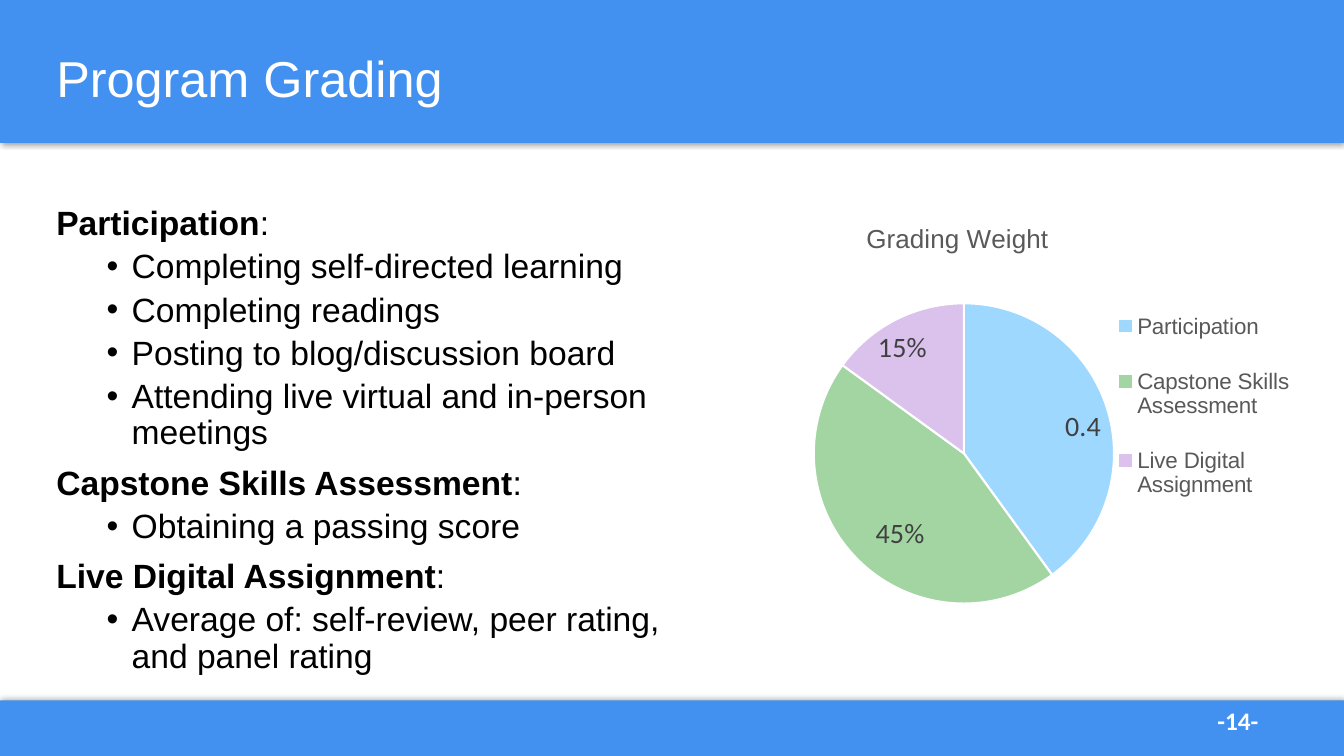
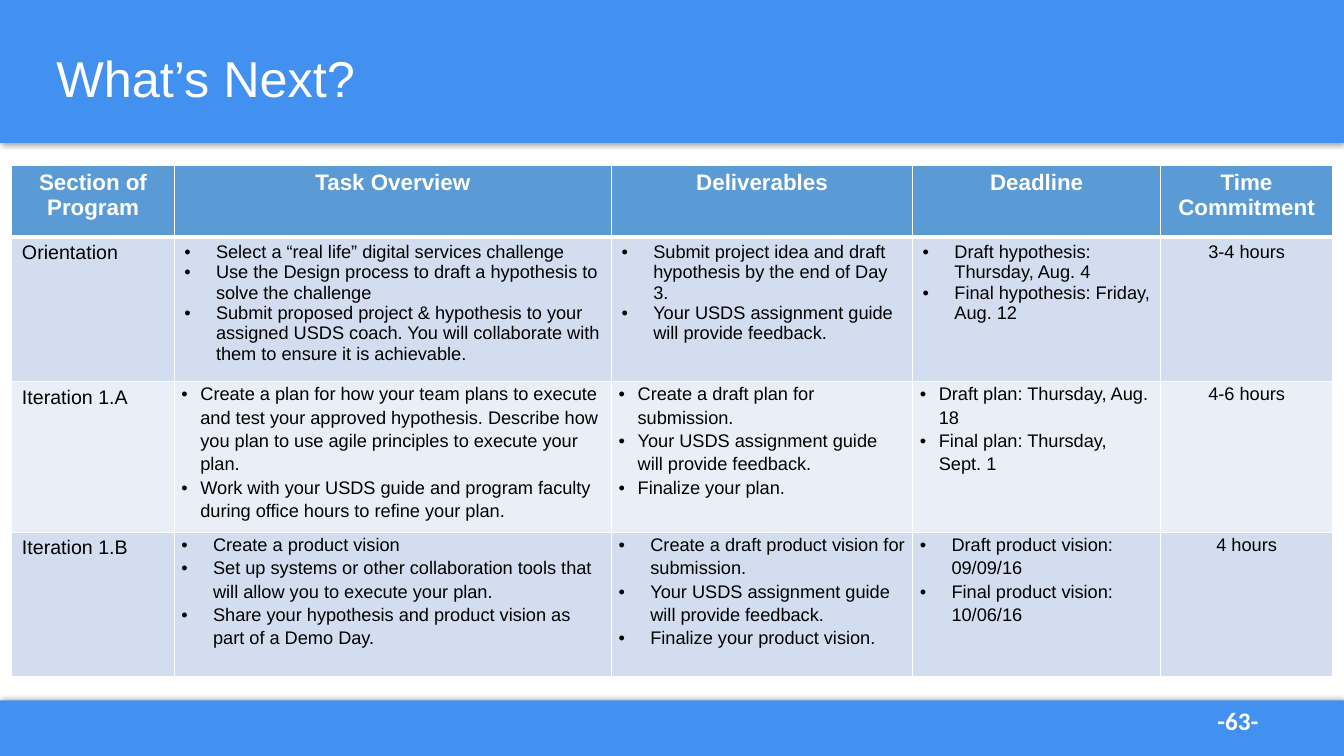
from lxml import etree
from pptx import Presentation
from pptx.chart.data import CategoryChartData
from pptx.dml.color import RGBColor
from pptx.enum.chart import XL_CHART_TYPE, XL_LABEL_POSITION, XL_LEGEND_POSITION
from pptx.enum.shapes import MSO_SHAPE
from pptx.enum.text import MSO_ANCHOR, PP_ALIGN
from pptx.oxml import parse_xml
from pptx.oxml.ns import nsdecls, qn
from pptx.util import Cm, Pt

PIE = XL_CHART_TYPE.PIE
INSIDE_END = XL_LABEL_POSITION.INSIDE_END
LEGEND_RIGHT = XL_LEGEND_POSITION.RIGHT
RECT = MSO_SHAPE.RECTANGLE
MIDDLE = MSO_ANCHOR.MIDDLE
CENTER = PP_ALIGN.CENTER

COLORS = {
    "band": "4291F0",
    "white": "FFFFFF",
    "black": "000000",
    "chart_text": "595959",
    "label": "404040",
    "header": "5B9BD5",
    "row_dark": "D2DEEF",
    "row_light": "EAEFF7",
    "participation": "9FD8FF",
    "capstone": "A3D5A3",
    "digital": "DAC2EC",
}
RGB = {name: RGBColor.from_string(value) for name, value in COLORS.items()}
WIDTH, HEIGHT = Cm(33.87), Cm(19.05)
LEFT = Cm(1.17)


def write(tf, text, size=24, color="black", bold=False, font="Arial", align=None,
          spacing=None, before=None, indent=None, tail=""):
    """Add a paragraph; indent gives (text, bullet offset), tail is a regular-weight ending."""
    first = not tf.text
    p = tf.paragraphs[0] if first else tf.add_paragraph()
    if indent:
        pPr = p._p.get_or_add_pPr()
        margin, hanging = indent
        pPr.set("marL", str(Cm(margin)))
        pPr.set("indent", str(-Cm(hanging)))
        etree.SubElement(pPr, qn("a:buFont")).set("typeface", "Arial")
        etree.SubElement(pPr, qn("a:buChar")).set("char", "•")
    if align is not None:
        p.alignment = align
    if spacing:
        p.line_spacing = spacing
    if before and not first:
        p.space_before = Pt(before)
    for part, weight in ((text, bold), (tail, False)):
        if part:
            r = p.add_run()
            r.text = part
            r.font.name, r.font.size, r.font.bold = font, Pt(size), weight
            r.font.color.rgb = RGB[color]
    # The paragraph mark sets the bullet height, so it follows the text size
    etree.SubElement(p._p, qn("a:endParaRPr")).set("sz", str(round(size * 100)))


def add_slide(title, number):
    """Add a slide with both bands, its title and its page number."""
    s = prs.slides.add_slide(prs.slide_layouts[6])
    for top, height, direction in ((Cm(17.65), Cm(1.4), 270), (0, Cm(3.6), 90)):
        band = s.shapes.add_shape(RECT, 0, top, WIDTH, height)
        band.fill.solid()
        band.fill.fore_color.rgb = RGB["band"]
        band.line.fill.background()
        band.shadow.inherit = False
        band._element.spPr.find(qn("a:effectLst")).append(parse_xml(
            f'<a:outerShdw {nsdecls("a")} blurRad="{Pt(4)}" dist="{Pt(1)}" '
            f'dir="{direction * 60000}" algn="ctr" rotWithShape="0">'
            f'<a:srgbClr val="{COLORS["black"]}"><a:alpha val="40000"/></a:srgbClr>'
            '</a:outerShdw>'))
    tf = s.shapes.add_textbox(Cm(30.43), Cm(17.65), Cm(2.49), Cm(1.02)).text_frame
    tf.word_wrap = True
    write(tf, f"-{number}-", size=18, color="white", bold=True, font="Calibri")
    tf = s.shapes.add_textbox(LEFT, Cm(0.76), Cm(31.55), Cm(2.57)).text_frame
    tf.word_wrap = True
    tf.vertical_anchor = MIDDLE
    write(tf, title, size=36, color="white", spacing=0.9)
    return s


prs = Presentation()
prs.slide_width, prs.slide_height = WIDTH, HEIGHT

# Program grading: pie chart and criteria
s = add_slide("Program Grading", 14)

weights = {"Participation": 0.4, "Capstone Skills Assessment": 0.45,
           "Live Digital Assignment": 0.15}
data = CategoryChartData()
data.categories = list(weights)
data.add_series("Series 1", list(weights.values()))
chart = s.shapes.add_chart(PIE, Cm(15.52), Cm(5.08), Cm(17.2), Cm(12.09), data).chart
chart.font.name, chart.font.size = "Calibri", Pt(10)

chart.has_title = True
write(chart.chart_title.text_frame, "Grading Weight", size=18.6, color="chart_text")
chart.chart_title.include_in_layout = False

chart.has_legend = True
legend = chart.legend
legend.position = LEGEND_RIGHT
legend.include_in_layout = False
legend.font.name, legend.font.size = "Arial", Pt(16)
legend.font.color.rgb = RGB["chart_text"]

plot = chart.plots[0]
plot.vary_by_categories = True
series = plot.series[0]
labels = series.data_labels
labels.show_value = True
labels.number_format, labels.number_format_is_linked = "General", False
labels.position = INSIDE_END
labels.font.name, labels.font.size = "Calibri", Pt(20)
labels.font.color.rgb = RGB["label"]

slices = zip(weights.values(), ("participation", "capstone", "digital"))
for i, (weight, color) in enumerate(slices):
    point = series.points[i]
    point.format.fill.solid()
    point.format.fill.fore_color.rgb = RGB[color]
    point.format.line.color.rgb = RGB["white"]
    point.format.line.width = Pt(1.5)
    if i:
        label = point.data_label
        write(label.text_frame, f"{weight:.0%}", size=20, color="label", font="Calibri")
        label.position = INSIDE_END

# Each chart part: element, index of its layout child, layout fractions.
# Data labels are moved from their usual place, other parts are placed in the chart.
plot_area = chart._chartSpace.find(".//" + qn("c:plotArea"))
capstone_label, digital_label = plot_area.findall(".//" + qn("c:dLbl"))
for part, index, fractions in (
    (chart.chart_title._element, 1, {"x": 0.36, "y": 0.03}),
    (legend._element, 1, {"x": 0.73, "y": 0.17, "w": 0.27, "h": 0.51}),
    (plot_area, 0, {"x": 0.29, "y": 0.21, "w": 0.44, "h": 0.63}),
    (capstone_label, 1, {"x": 0.02, "y": -0.01}),
    (digital_label, 1, {"x": -0.03, "y": 0.01}),
):
    for old in part.findall(qn("c:layout")):
        part.remove(old)
    target = '<c:layoutTarget val="inner"/>' if part is plot_area else ""
    is_label = part in (capstone_label, digital_label)
    modes = "" if is_label else '<c:xMode val="edge"/><c:yMode val="edge"/>'
    values = "".join(f'<c:{key} val="{value}"/>' for key, value in fractions.items())
    part.insert(index, parse_xml(
        f'<c:layout {nsdecls("c")}><c:manualLayout>{target}{modes}{values}'
        '</c:manualLayout></c:layout>'))

criteria = {
    "Participation": [
        "Completing self-directed learning",
        "Completing readings",
        "Posting to blog/discussion board",
        "Attending live virtual and in-person meetings",
    ],
    "Capstone Skills Assessment": ["Obtaining a passing score"],
    "Live Digital Assignment": ["Average of: self-review, peer rating, and panel rating"],
}
tf = s.shapes.add_textbox(LEFT, Cm(5.08), Cm(16.81), Cm(12.09)).text_frame
tf.word_wrap = True
for heading, items in criteria.items():
    write(tf, heading, bold=True, tail=":", spacing=0.9, before=10)
    for item in items:
        write(tf, item, spacing=0.9, before=5, indent=(1.9, 0.63))

# What's next: schedule table
s = add_slide("What’s Next?", 63)

headers = ["Section of Program", "Task Overview", "Deliverables", "Deadline",
           "Time Commitment"]
schedule = [
    ("Orientation",
     ["Select a “real life” digital services challenge",
      "Use the Design process to draft a hypothesis to solve the challenge",
      "Submit proposed project & hypothesis to your assigned USDS coach. "
      "You will collaborate with them to ensure it is achievable."],
     ["Submit project idea and draft hypothesis by the end of Day 3.",
      "Your USDS assignment guide will provide feedback."],
     ["Draft hypothesis: Thursday, Aug. 4", "Final hypothesis: Friday, Aug. 12"],
     "3-4 hours"),
    ("Iteration 1.A",
     ["Create a plan for how your team plans to execute and test your approved "
      "hypothesis. Describe how you plan to use agile principles to execute your plan.",
      "Work with your USDS guide and program faculty during office hours to refine "
      "your plan."],
     ["Create a draft plan for submission.",
      "Your USDS assignment guide will provide feedback.",
      "Finalize your plan."],
     ["Draft plan: Thursday, Aug. 18", "Final plan: Thursday, Sept. 1"],
     "4-6 hours"),
    ("Iteration 1.B",
     ["Create a product vision",
      "Set up systems or other collaboration tools that will allow you to execute "
      "your plan.",
      "Share your hypothesis and product vision as part of a Demo Day."],
     ["Create a draft product vision for submission.",
      "Your USDS assignment guide will provide feedback.",
      "Finalize your product vision."],
     ["Draft product vision: 09/09/16", "Final product vision: 10/06/16"],
     "4 hours"),
]
col_widths = [4.09, 11.02, 7.59, 6.25, 4.33]
row_heights = [1.8, 3.64, 3.64, 3.64]
row_fills = ["header", "row_dark", "row_light", "row_dark"]
row_indents = [None, 0.8, 0.48, 0.8]

table = s.shapes.add_table(len(row_heights), len(col_widths), Cm(0.3), Cm(4.17),
                           Cm(sum(col_widths)), Cm(sum(row_heights))).table
for column, width in zip(table.columns, col_widths):
    column.width = Cm(width)
for row, height in zip(table.rows, row_heights):
    row.height = Cm(height)

for r, contents in enumerate([headers, *schedule]):
    for c, content in enumerate(contents):
        cell = table.cell(r, c)
        cell.fill.solid()
        cell.fill.fore_color.rgb = RGB[row_fills[r]]
        tf = cell.text_frame
        spacing = 1.15 if r > 1 else None
        if r > 1 and c > 0:
            cell.margin_left = cell.margin_right = Cm(0.18)
            cell.margin_top = cell.margin_bottom = 0
        if r == 0:
            write(tf, content, size=16, color="white", bold=True, align=CENTER)
        elif c == 0:
            write(tf, content, size=14)
        elif isinstance(content, list):
            for item in content:
                write(tf, item, size=13, spacing=spacing, indent=(row_indents[r],) * 2)
        else:
            write(tf, content, size=13, spacing=spacing, align=CENTER)

        tcPr = cell._tc.get_or_add_tcPr()
        for i, side in enumerate(("L", "R", "T", "B")):
            under_header = (r, side) in ((0, "B"), (1, "T"))
            tcPr.insert(i, parse_xml(
                f'<a:ln{side} {nsdecls("a")} w="{Pt(3 if under_header else 1)}">'
                f'<a:solidFill><a:srgbClr val="{COLORS["white"]}"/></a:solidFill>'
                f'</a:ln{side}>'))

prs.save("out.pptx")
